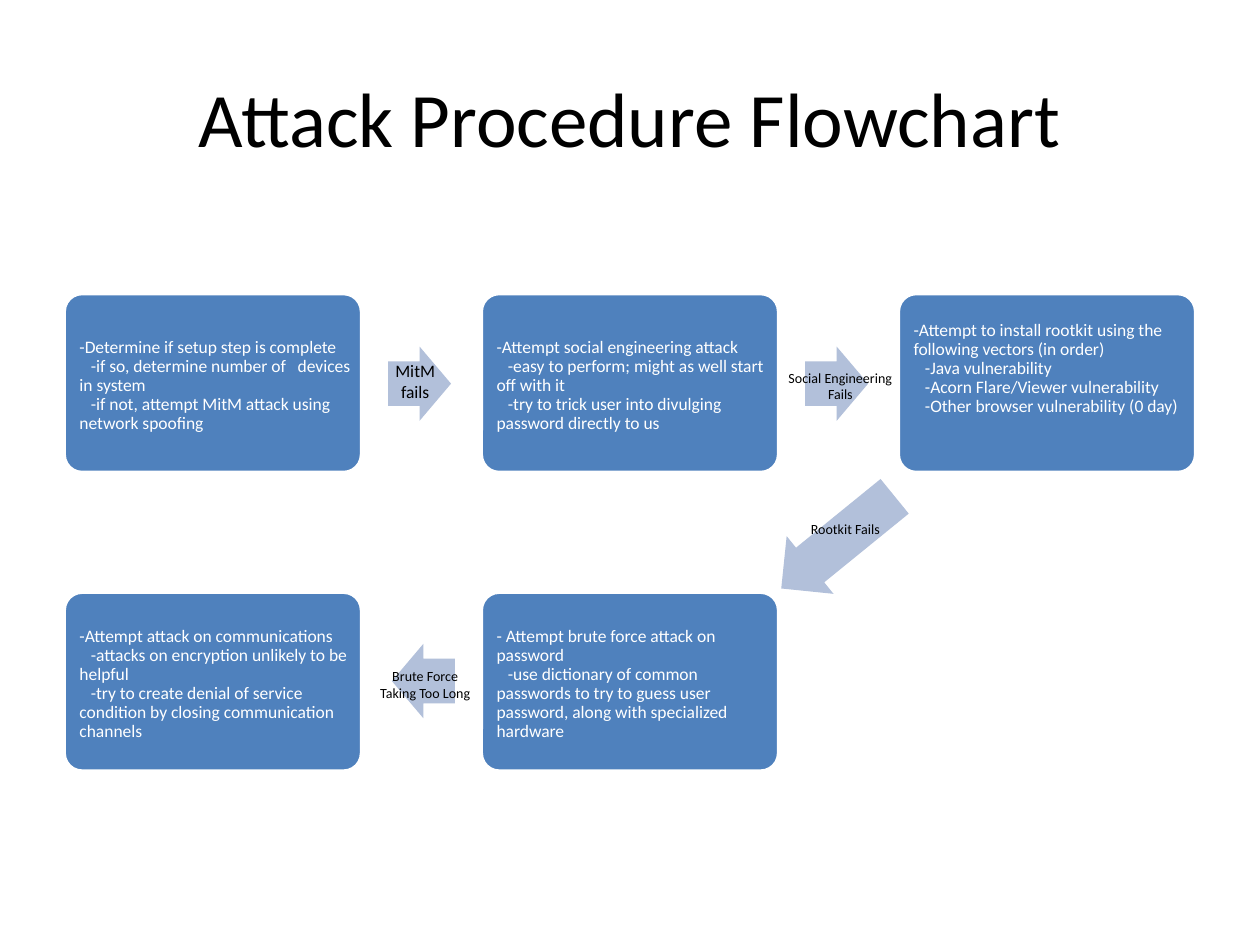
import pptx
import pptx.util
import pptx.dml.color
import pptx.enum.shapes
import pptx.enum.text

Inches = pptx.util.Inches
Pt = pptx.util.Pt
RGBColor = pptx.dml.color.RGBColor
Shape = pptx.enum.shapes.MSO_SHAPE
Align = pptx.enum.text.PP_ALIGN
Anchor = pptx.enum.text.MSO_ANCHOR

BLUE = RGBColor(0x4F, 0x81, 0xBD)
PALE = RGBColor(0xB2, 0xC0, 0xDA)
WHITE = RGBColor(255, 255, 255)
BLACK = RGBColor(0, 0, 0)

TITLE = "Attack Procedure Flowchart"
STEPS = [
    (0, 0, 0.04, ["-Determine if setup step is complete",
                  "-if so, determine number of   devices in system",
                  "-if not, attempt MitM attack using network spoofing"]),
    (1, 0, 0.04, ["-Attempt social engineering attack",
                  "-easy to perform; might as well start off with it",
                  "-try to trick user into divulging password directly to us"]),
    (2, 0, 0.31, ["-Attempt to install rootkit using the following vectors (in order)",
                  "-Java vulnerability",
                  "-Acorn Flare/Viewer vulnerability",
                  "-Other browser vulnerability (0 day)"]),
    (1, 1, 0.04, ["- Attempt brute force attack on password",
                  "-use dictionary of common passwords to try to guess user "
                  "password, along with specialized hardware"]),
    (0, 1, 0.04, ["-Attempt attack on communications",
                  "-attacks on encryption unlikely to be helpful",
                  "-try to create denial of service condition by closing "
                  "communication channels"]),
]
ARROWS = [(3.08, 2.75, 0.5, 0), (6.39, 2.75, 0.5, 0),
          (6.07, 4.01, 1.16, 140.9), (3.11, 5.11, 0.5, 180)]
LABELS = [
    (3.04, 2.81, 0.51, 0.43, 10, ["MitM", "fails"]),
    (6.16, 2.88, 1.02, 0.36, 8, ["Social Engineering", "Fails"]),
    (6.34, 4.08, 0.74, 0.23, 8, ["Rootkit Fails"]),
    (2.92, 5.25, 0.91, 0.36, 8, ["Brute Force", "Taking Too Long"]),
]
LEFT, TOP = 0.51, 2.33
STEP_X, STEP_Y = 3.31, 2.37
BOX_W, BOX_H = 2.36, 1.42
ARROW_H = 0.59


def write(frame, lines, size, color=BLACK, align=Align.CENTER, space=None, indent=0):
    for i, line in enumerate(lines):
        para = frame.paragraphs[0] if i == 0 else frame.add_paragraph()
        para.alignment = align
        if space:
            para.line_spacing = space
        if indent and i:
            props = para._p.get_or_add_pPr()
            props.set("marL", "0")
            props.set("indent", str(Inches(indent)))
        run = para.add_run()
        run.text = line
        run.font.size = Pt(size)
        run.font.name = "Calibri"
        run.font.color.rgb = color


def draw(kind, x, y, w, h, fill):
    shape = slide.shapes.add_shape(kind, Inches(x), Inches(y), Inches(w), Inches(h))
    shape.shadow.inherit = False
    shape.fill.solid()
    shape.fill.fore_color.rgb = fill
    return shape


deck = pptx.Presentation()
deck.slide_width, deck.slide_height = Inches(10), Inches(7.5)
slide = deck.slides.add_slide(deck.slide_layouts[5])

title = slide.shapes.title
title.left, title.top = Inches(0.5), Inches(0.3)
title.width, title.height = Inches(9), Inches(1.25)
title.text_frame.vertical_anchor = Anchor.MIDDLE
write(title.text_frame, [TITLE], 44)

for col, row, base, lines in STEPS:
    box = draw(Shape.ROUNDED_RECTANGLE, LEFT + col * STEP_X, TOP + row * STEP_Y,
               BOX_W, BOX_H, BLUE)
    box.adjustments[0] = 0.1
    box.line.color.rgb = WHITE
    box.line.width = Pt(2)
    frame = box.text_frame
    frame.word_wrap = True
    frame.vertical_anchor = Anchor.MIDDLE
    frame.margin_left = frame.margin_top = Inches(0.08)
    frame.margin_right = Inches(0.04)
    frame.margin_bottom = Inches(base)
    write(frame, lines, 10, WHITE, Align.LEFT, 0.9, 0.09)

for x, y, w, turn in ARROWS:
    arrow = draw(Shape.RIGHT_ARROW, x, y, w, ARROW_H, PALE)
    arrow.adjustments[0] = 0.6
    arrow.adjustments[1] = 0.5
    arrow.rotation = turn
    arrow.line.fill.background()

for x, y, w, h, size, lines in LABELS:
    label = slide.shapes.add_textbox(Inches(x), Inches(y), Inches(w), Inches(h))
    frame = label.text_frame
    frame.word_wrap = True
    frame.margin_left = frame.margin_right = Inches(0.02)
    write(frame, lines, size)

deck.save("out.pptx")
